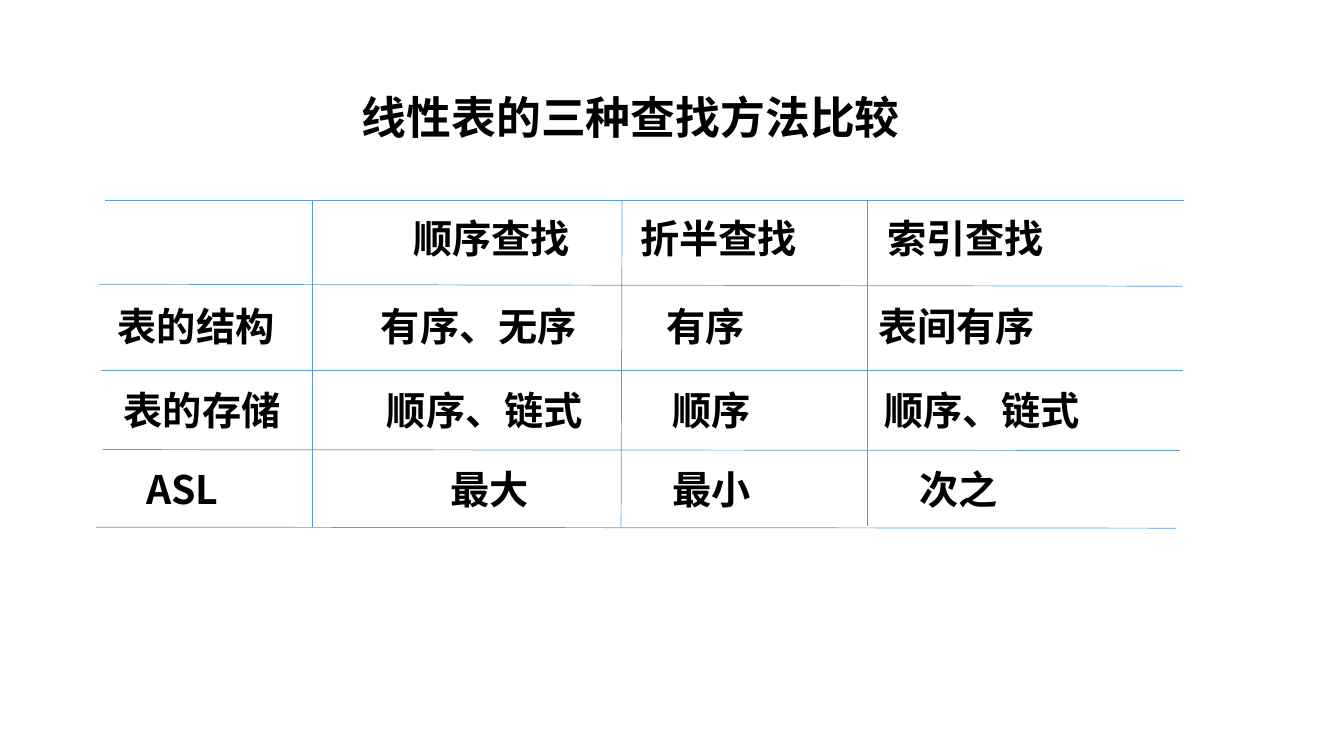
from lxml import etree
from pptx import Presentation
from pptx.dml.color import RGBColor
from pptx.enum.shapes import MSO_CONNECTOR
from pptx.enum.text import MSO_AUTO_SIZE
from pptx.oxml.ns import qn
from pptx.util import Pt

PX = 9144
STRAIGHT = MSO_CONNECTOR.STRAIGHT
GROW = MSO_AUTO_SIZE.SHAPE_TO_FIT_TEXT
FONT = "Noto Sans CJK SC"
COLORS = {"text": "000000", "rule": "5B9BD5"}

HORIZONTAL_RULES = [
    (104, 199, 1174, 199),
    (98, 282, 1173, 284),
    (100, 367, 1173, 367),
    (102, 446, 1170, 447),
    (95, 523, 1166, 524),
]
VERTICAL_RULES = [
    (310, 198, 310, 523),
    (617, 198, 616, 523),
    (860, 198, 860, 522),
]
BODY_STOPS = [261, 544, 754]
ROWS = [
    ((400, 208, 717, 57), [225, 470], "顺序查找\t折半查找\t索引查找"),
    ((107, 295, 1052, 57), BODY_STOPS, "表的结构\t有序、无序\t有序\t表间有序"),
    ((113, 378, 1052, 57), BODY_STOPS, "表的存储\t顺序、链式\t顺序\t顺序、链式"),
    ((110, 457, 1052, 57), [25, 327, 547, 792], "\tASL\t最大\t最小\t次之"),
]


def add_rule(slide, ends):
    """Draw one thin table rule between two points."""
    rule = slide.shapes.add_connector(STRAIGHT, *[value * PX for value in ends])
    rule.line.color.rgb = RGBColor.from_string(COLORS["rule"])
    rule.line.width = Pt(0.5)
    etree.SubElement(rule._element.spPr, qn("a:effectLst"))


def set_tab_stops(para, stops):
    """Give a paragraph left tab stops at the given distances."""
    tab_list = etree.SubElement(para._p.get_or_add_pPr(), qn("a:tabLst"))
    for stop in stops:
        etree.SubElement(tab_list, qn("a:tab"), pos=str(stop * PX), algn="l")


def add_text(slide, place, text, size, stops=()):
    """Add a bold line of text whose columns follow tab stops."""
    box = slide.shapes.add_textbox(*[value * PX for value in place])
    frame = box.text_frame
    frame.word_wrap = True
    frame.auto_size = GROW
    frame.text = text
    para = frame.paragraphs[0]
    if stops:
        set_tab_stops(para, stops)
    for span in para.runs:
        span.font.name = FONT
        span.font.size = Pt(size)
        span.font.bold = True
        span.font.color.rgb = RGBColor.from_string(COLORS["text"])
        etree.SubElement(span.font._element, qn("a:ea"), typeface=FONT)


def main():
    """Build the comparison slide and save the deck."""
    deck = Presentation()
    deck.slide_width = 1333 * PX
    deck.slide_height = 750 * PX
    page = deck.slides.add_slide(deck.slide_layouts[6])
    add_text(page, (349, 84, 598, 64), "线性表的三种查找方法比较", 32)
    for ends in HORIZONTAL_RULES:
        add_rule(page, ends)
    for place, stops, text in ROWS:
        add_text(page, place, text, 28, stops)
    for ends in VERTICAL_RULES:
        add_rule(page, ends)
    deck.save("out.pptx")


if __name__ == "__main__":
    main()
